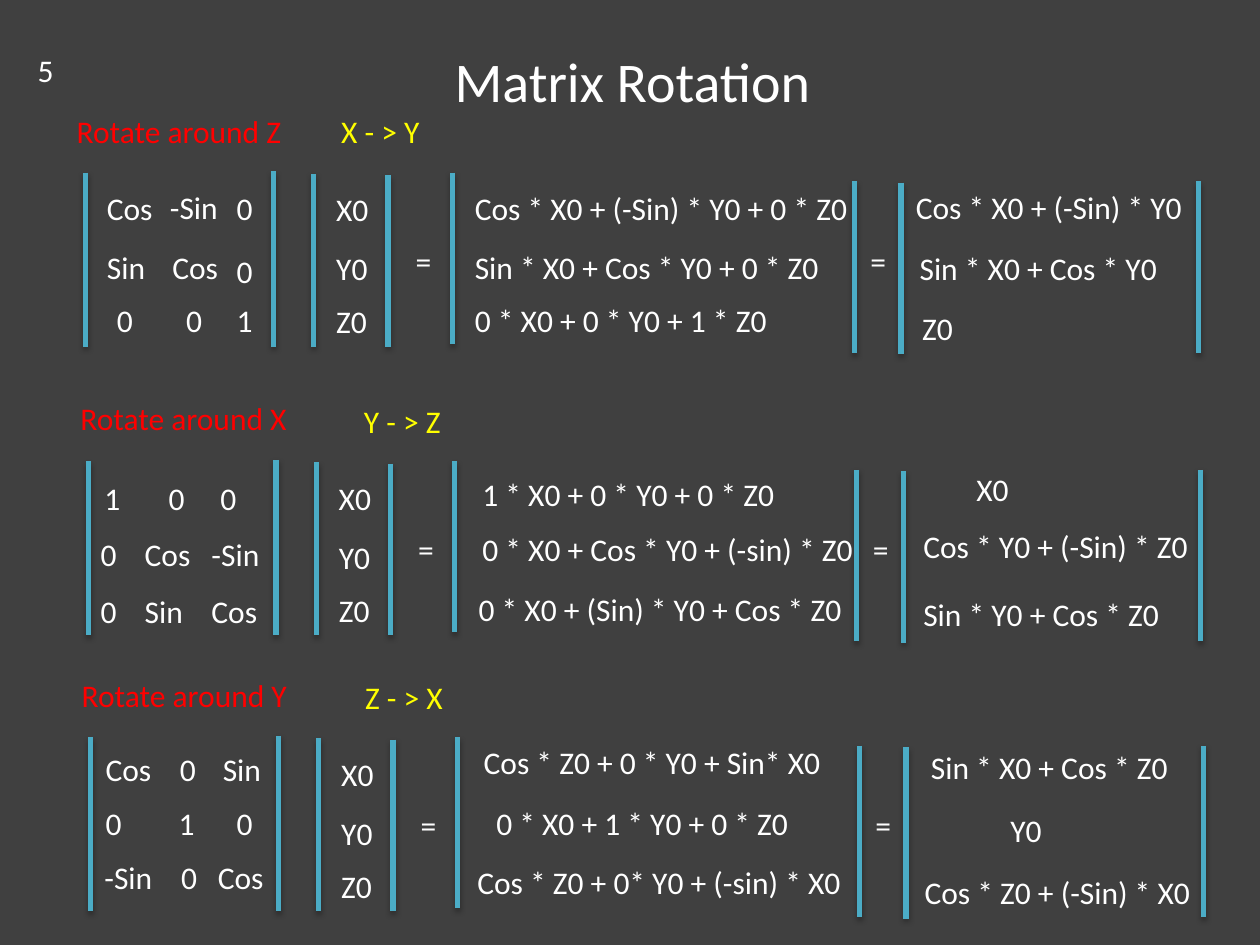
from dataclasses import dataclass

from lxml.etree import SubElement as Sub
from pptx import Presentation
from pptx.dml.color import RGBColor as Rgb
from pptx.enum.shapes import MSO_CONNECTOR as Link
from pptx.enum.text import MSO_AUTO_SIZE as Fit
from pptx.oxml.ns import qn
from pptx.util import Emu, Pt

SCALE = 9144  # EMU in one px, 100 px to the inch


def px(num):
    return Emu(num * SCALE)


@dataclass(frozen=True)
class Theme:
    font: str = "Calibri"
    back: str = "404040"
    text: str = "FFFFFF"
    head: str = "FF0000"
    axis: str = "FFFF00"
    bar: str = "4BACC6"
    shade: str = "000000"
    big: int = 32
    body: int = 18
    line: int = 3


class Deck:
    """Holds the theme and the slide being drawn."""

    def __init__(self, theme):
        self.theme = theme
        self.prs = Presentation()
        self.prs.slide_width, self.prs.slide_height = px(1000), px(750)
        self.slide = self.prs.slides.add_slide(self.prs.slide_layouts[6])
        fill = self.slide.background.fill
        fill.solid()
        fill.fore_color.rgb = Rgb.from_string(theme.back)

    def text(self, x, y, wide, words, tabs=(), color=None, size=None, high=40, wrap=False):
        """Add one line of text; tabs are stops in px from the text's left edge."""
        box = self.slide.shapes.add_textbox(px(x), px(y), px(wide), px(high))
        frame = box.text_frame
        frame.word_wrap = wrap or bool(tabs)
        frame.auto_size = Fit.SHAPE_TO_FIT_TEXT
        para = frame.paragraphs[0]
        if tabs:
            stops = Sub(para._p.get_or_add_pPr(), qn("a:tabLst"))
            for stop in tabs:
                Sub(stops, qn("a:tab"), pos=str(px(stop)), algn="l")
        run = para.add_run()
        run.text = words
        look = {"name": self.theme.font, "size": Pt(size or self.theme.body)}
        for key, val in look.items():
            setattr(run.font, key, val)
        run.font.color.rgb = Rgb.from_string(color or self.theme.text)

    def bar(self, x, top, end):
        """Add an upright matrix bar with a soft shadow below it."""
        bar = self.slide.shapes.add_connector(Link.STRAIGHT, px(x), px(top), px(x), px(end))
        bar.line.color.rgb = Rgb.from_string(self.theme.bar)
        bar.line.width = Pt(self.theme.line)
        effects = Sub(bar._element.spPr, qn("a:effectLst"))
        shade = Sub(effects, qn("a:outerShdw"), blurRad="40000", dist="23000",
                    dir="5400000", rotWithShape="0")
        tone = Sub(shade, qn("a:srgbClr"), val=self.theme.shade)
        Sub(tone, qn("a:alpha"), val="35000")

    def frame(self, dx, dy):
        """Add what every rotation shares: bars, vector and equal signs."""
        for x, top, end in BARS:
            self.bar(x + dx, top + dy, end + dy)
        for x, y, wide, words in SHARED:
            self.text(x + dx, y + dy, wide, words)

    def save(self):
        self.prs.save("out.pptx")


BARS = [
    (68, 137, 275), (217, 136, 275), (249, 138, 275), (308, 139, 275),
    (359, 137, 273), (678, 144, 280), (715, 145, 281), (951, 144, 280),
]
SHARED = [
    (257, 146, 46, "X0"), (257, 193, 45, "Y0"), (257, 235, 45, "Z0"),
    (320, 187, 33, "="), (681, 187, 33, "="),
]
SHIFTS = [(0, 0), (2, 229), (4, 448)]

HEADS = [
    (51, 84, 184, "Rotate around Z"),
    (54, 312, 186, "Rotate around X"),
    (55, 532, 185, "Rotate around Y"),
]
AXES = [
    (261, 84, 83, "X - > Y"),
    (279, 314, 82, "Y - > Z"),
    (280, 533, 83, "Z - > X"),
]

# Around Z, each matrix entry stands alone
CELLS = [
    (75, 145, 57, "Cos"), (125, 144, 59, "-Sin"),
    (75, 192, 51, "Sin"), (127, 192, 57, "Cos"),
]
DIGITS = [
    (178, 145, "0"), (178, 195, "0"),
    (83, 234, "0"), (138, 234, "0"), (178, 234, "1"),
]

# Around X and Y, each matrix row is one line with tab stops
ROWS = [
    (73, 375, 148, "1\t0\t0", (51, 92)),
    (70, 420, 148, "0\tCos\t-Sin", (35, 88)),
    (70, 465, 150, "0\tSin\tCos", (35, 88)),
    (74, 590, 150, "Cos\t0\tSin", (59, 93)),
    (74, 633, 148, "0\t1\t0", (58, 104)),
    (73, 676, 148, "-Sin\t0\tCos", (61, 90)),
]

SUMS = [
    (367, 145, 320, "Cos * X0 + (-Sin) * Y0 + 0 * Z0"),
    (367, 192, 297, "Sin * X0 + Cos * Y0 + 0 * Z0"),
    (367, 234, 255, "0 * X0 + 0 * Y0 + 1 * Z0"),
    (717, 144, 234, "Cos * X0 + (-Sin) * Y0"),
    (720, 193, 211, "Sin * X0 + Cos * Y0"),
    (722, 240, 45, "Z0"),
    (373, 372, 255, "1 * X0 + 0 * Y0 + 0 * Z0"),
    (373, 416, 318, "0 * X0 + Cos * Y0 + (-sin) * Z0"),
    (370, 463, 312, "0 * X0 + (Sin) * Y0 + Cos * Z0"),
    (765, 368, 46, "X0"),
    (723, 413, 233, "Cos * Y0 + (-Sin) * Z0"),
    (723, 467, 210, "Sin * Y0 + Cos * Z0"),
    (374, 585, 291, "Cos * Z0 + 0 * Y0 + Sin* X0"),
    (384, 633, 255, "0 * X0 + 1 * Y0 + 0 * Z0"),
    (369, 680, 312, "Cos * Z0 + 0* Y0 + (-sin) * X0"),
    (729, 589, 211, "Sin * X0 + Cos * Z0"),
    (792, 639, 45, "Y0"),
    (724, 688, 234, "Cos * Z0 + (-Sin) * X0"),
]


def main():
    theme = Theme()
    deck = Deck(theme)
    deck.text(351, 32, 306, "Matrix Rotation", size=theme.big, high=64)
    deck.text(20, 36, 33, "5")
    for shift in SHIFTS:
        deck.frame(*shift)
    for color, items in ((theme.head, HEADS), (theme.axis, AXES)):
        for item in items:
            deck.text(*item, color=color)
    for item in CELLS + ROWS + SUMS:
        deck.text(*item)
    for x, y, digit in DIGITS:
        deck.text(x, y, 20, digit, wrap=True)
    deck.save()


if __name__ == "__main__":
    main()
